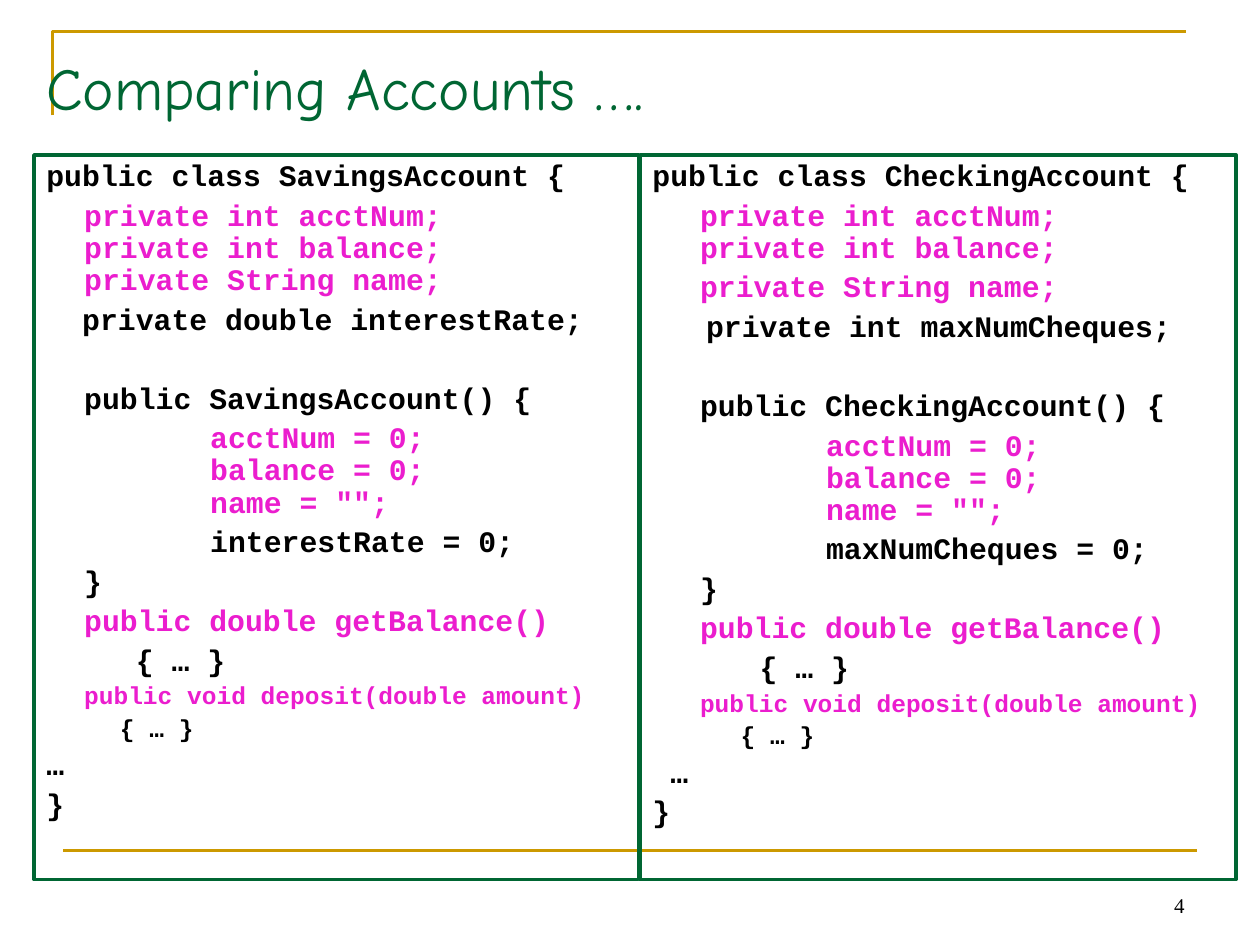
from lxml.etree import SubElement
from pptx import Presentation
from pptx.dml.color import RGBColor
from pptx.enum.shapes import MSO_CONNECTOR, MSO_SHAPE
from pptx.enum.text import MSO_ANCHOR, PP_ALIGN
from pptx.oxml.ns import qn
from pptx.util import Pt


class Theme:
    green = RGBColor(0x00, 0x66, 0x33)
    gold = RGBColor(0xCC, 0x99, 0x00)
    shared = RGBColor(0xEB, 0x1D, 0xCE)  # members both classes have
    black = RGBColor(0x00, 0x00, 0x00)
    title_font, code_font, number_font = "Comic Neue", "Courier New", "Times New Roman"
    title_size, code_size, small_size, number_size = 34, 17, 14, 12


# Content
TITLE = "Comparing Accounts …."
PAGE_NUMBER = "4"
ACCOUNTS = [
    {
        "name": "SavingsAccount",
        "fields": ["private int acctNum;\vprivate int balance;\vprivate String name;"],
        "own_field": "  private double interestRate;",
        "own_value": "interestRate = 0;",
        "body": "     { … }",
        "rest": "…",
        "left": 19.44, "width": 345.6, "indent": 21.6,
    },
    {
        "name": "CheckingAccount",
        "fields": ["private int acctNum;\vprivate int balance;", "private String name;"],
        "own_field": "   private int maxNumCheques;",
        "own_value": "maxNumCheques = 0;",
        "body": "      { … }",
        "rest": " …",
        "left": 365.76, "width": 340.56, "indent": 27.2,
    },
]

# Layout
BOX_TOP, BOX_HEIGHT = 88.56, 414
TAB_WIDTH = 72
LINE_SPACING = 0.9
SPACE_RATIO = 0.25  # space before, as a share of the type size
BLANK_LINE = 22.6


def code_lines(account):
    """Rows of (indent level, text, colour, size, extra space before)."""
    black, shared = Theme.black, Theme.shared
    size, small = Theme.code_size, Theme.small_size
    return [
        (0, f"public class {account['name']} {{", black, size, 0),
        *[(1, field, shared, size, 0) for field in account["fields"]],
        (0, account["own_field"], black, size, 0),
        (1, f"public {account['name']}() {{", black, size, BLANK_LINE),
        (2, 'acctNum = 0;\vbalance = 0;\vname = "";', shared, size, 0),
        (2, account["own_value"], black, size, 0),
        (1, "}", black, size, 0),
        (1, "public double getBalance()", shared, size, 0),
        (0, account["body"], black, size, 0),
        (1, "public void deposit(double amount)", shared, small, 0),
        (0, account["body"], black, small, 0),
        (0, account["rest"], black, size, 0),
        (0, "}", black, size, 0),
    ]


def style(paragraph, font_name, size, color, bold=False):
    font = paragraph.font
    font.name, font.size, font.bold = font_name, Pt(size), bold
    font.color.rgb = color


def add_label(page, place, text, font_name, size, color, align, bottom=3.6):
    box = page.shapes.add_textbox(*map(Pt, place))
    frame = box.text_frame
    frame.word_wrap = True
    frame.vertical_anchor = MSO_ANCHOR.BOTTOM
    frame.margin_bottom = Pt(bottom)
    paragraph = frame.paragraphs[0]
    paragraph.text, paragraph.alignment = text, align
    style(paragraph, font_name, size, color)


def add_rules(page):
    # Corner rule around the title
    builder = page.shapes.build_freeform(Pt(30), Pt(66), scale=1)
    builder.add_line_segments([(Pt(30), Pt(18)), (Pt(678), Pt(18))], close=False)
    corner = builder.convert_to_shape()
    corner.shadow.inherit = False
    corner.fill.background()
    # Footer rule
    footer = page.shapes.add_connector(
        MSO_CONNECTOR.STRAIGHT, Pt(36), Pt(486), Pt(684), Pt(486))
    SubElement(footer._element.spPr, qn("a:effectLst"))
    for rule in (corner, footer):
        rule.line.color.rgb = Theme.gold
        rule.line.width = Pt(1.5)
    # Keep the effect list after the line settings
    properties = footer._element.spPr
    properties.append(properties.find(qn("a:effectLst")))


def add_code_box(page, account):
    box = page.shapes.add_shape(
        MSO_SHAPE.RECTANGLE, Pt(account["left"]), Pt(BOX_TOP),
        Pt(account["width"]), Pt(BOX_HEIGHT))
    box.shadow.inherit = False
    box.fill.background()
    box.line.color.rgb = Theme.green
    box.line.width = Pt(2)
    frame = box.text_frame
    frame.word_wrap = True
    frame.vertical_anchor = MSO_ANCHOR.TOP
    margins = [0, account["indent"], account["indent"] + TAB_WIDTH]
    for index, (level, text, color, size, gap) in enumerate(code_lines(account)):
        paragraph = frame.add_paragraph() if index else frame.paragraphs[0]
        paragraph.text = text
        paragraph.alignment = PP_ALIGN.LEFT
        paragraph.line_spacing = LINE_SPACING
        if index:
            paragraph.space_before = Pt(round(size * SPACE_RATIO + gap, 1))
        paragraph._p.get_or_add_pPr().set("marL", str(Pt(margins[level])))
        style(paragraph, Theme.code_font, size, color, bold=True)


def main():
    deck = Presentation()
    deck.slide_width, deck.slide_height = Pt(720), Pt(540)
    page = deck.slides.add_slide(deck.slide_layouts[6])
    add_rules(page)
    add_label(page, (516, 492, 168, 36), PAGE_NUMBER, Theme.number_font,
              Theme.number_size, Theme.black, PP_ALIGN.RIGHT)
    add_label(page, (19.44, 31.68, 648, 45.36), TITLE, Theme.title_font,
              Theme.title_size, Theme.green, PP_ALIGN.LEFT, bottom=7.2)
    for account in ACCOUNTS:
        add_code_box(page, account)
    deck.save("out.pptx")


if __name__ == "__main__":
    main()
